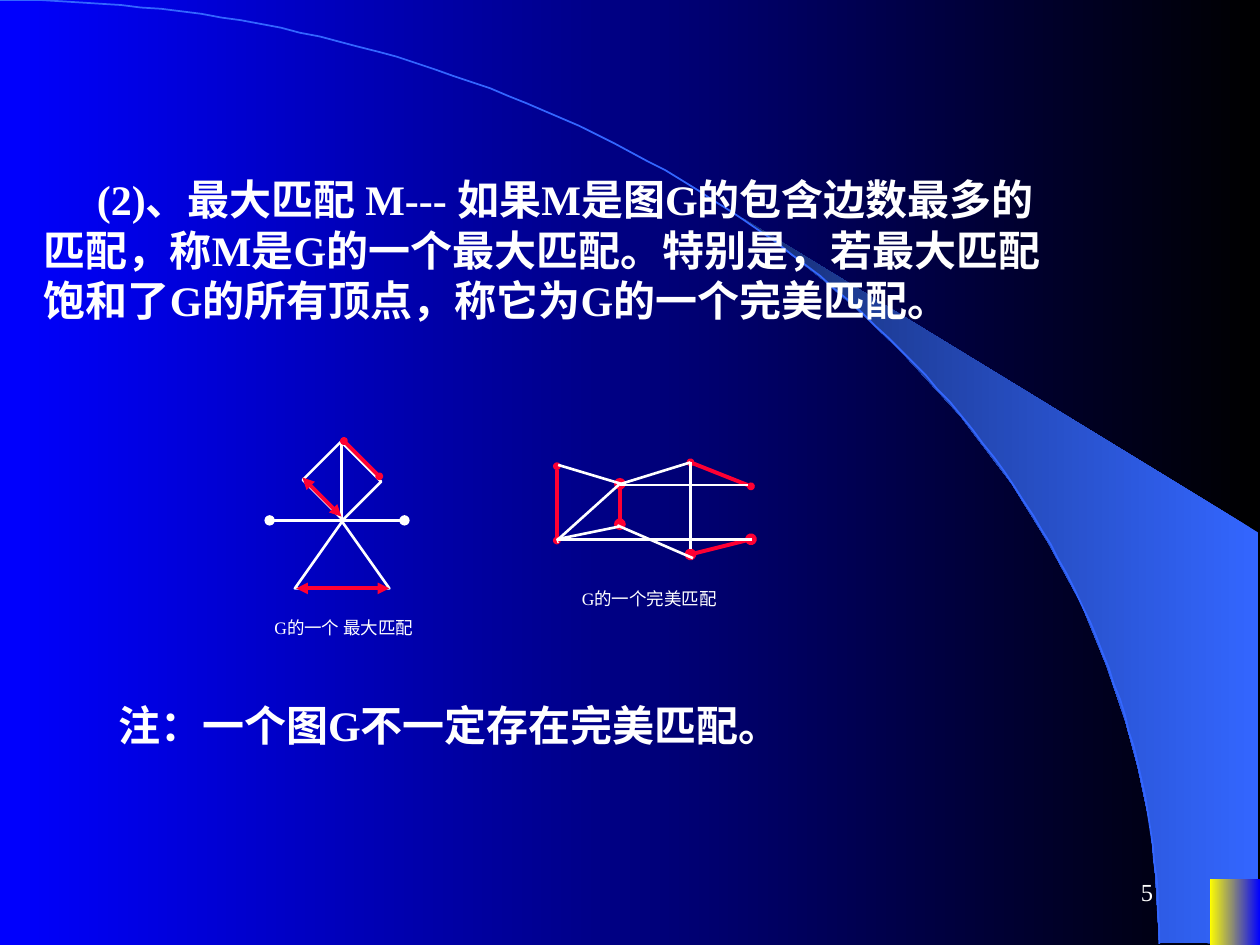
"""Build a slide on maximum and perfect matchings with two example graphs."""
from math import cos, pi, sin

from lxml import etree
from pptx import Presentation
from pptx.dml.color import RGBColor
from pptx.enum.shapes import MSO_CONNECTOR, MSO_SHAPE
from pptx.enum.text import MSO_ANCHOR, MSO_AUTO_SIZE, PP_ALIGN
from pptx.oxml.ns import qn
from pptx.util import Pt

STRAIGHT = MSO_CONNECTOR.STRAIGHT
RECT, TRIANGLE = MSO_SHAPE.RECTANGLE, MSO_SHAPE.ISOSCELES_TRIANGLE
LEFT, RIGHT, JUSTIFY = PP_ALIGN.LEFT, PP_ALIGN.RIGHT, PP_ALIGN.JUSTIFY
TOP, MIDDLE = MSO_ANCHOR.TOP, MSO_ANCHOR.MIDDLE
GROW, FIXED = MSO_AUTO_SIZE.SHAPE_TO_FIT_TEXT, MSO_AUTO_SIZE.NONE
PX = 9144


class Theme:
    font = "Times New Roman"
    black = RGBColor.from_string("000000")
    blue = RGBColor.from_string("0000FF")
    sky = RGBColor.from_string("3366FF")
    navy = RGBColor.from_string("172F75")
    yellow = RGBColor.from_string("FFFF00")
    white = RGBColor.from_string("FFFFFF")
    red = RGBColor.from_string("FF0033")
    body, label, number = Pt(24), Pt(10), Pt(14)
    hair, thin, thick = Pt(0.75), Pt(1.5), Pt(2.25)


def shade(fill, start, end):
    fill.gradient()
    fill.gradient_angle = 180
    for stop, color in zip(fill.gradient_stops, (start, end)):
        stop.color.rgb = color


def link(ends, color, width, tip=None, size="med"):
    line = slide.shapes.add_connector(STRAIGHT, *[v * PX for v in ends])
    line.line.color.rgb = color
    line.line.width = width
    if tip:
        for tag in ("a:headEnd", "a:tailEnd"):
            etree.SubElement(line.line._ln, qn(tag), type=tip, w=size, len=size)
    etree.SubElement(line._element.spPr, qn("a:effectLst"))


deck = Presentation()
deck.slide_width, deck.slide_height = 1000 * PX, 750 * PX
slide = deck.slides.add_slide(deck.slide_layouts[6])
shade(slide.background.fill, Theme.black, Theme.blue)

edge = [
    (999, 749), (999, 423), (589, 173), (624, 199), (653, 222), (685, 250),
    (716, 280), (762, 330), (803, 384), (832, 431), (858, 479), (878, 528),
    (893, 572), (903, 609), (913, 656), (917, 696), (920, 748),
]
path = slide.shapes.build_freeform(920, 748, scale=PX)
path.add_line_segments(edge, close=True)
beam = path.convert_to_shape()
beam.shadow.inherit = False
shade(beam.fill, Theme.sky, Theme.navy)
beam.line.fill.background()

steps = 90
turns = [i * pi / 2 / steps for i in range(1, steps + 1)]
path = slide.shapes.build_freeform(0, 0, scale=PX)
path.add_line_segments(
    [(920 * sin(t), 749 * (1 - cos(t))) for t in turns], close=False)
arc = path.convert_to_shape()
arc.shadow.inherit = False
arc.fill.background()
arc.line.color.rgb = Theme.sky
arc.line.width = Pt(1)

badge = slide.shapes.add_shape(RECT, 960 * PX, 698 * PX, 40 * PX, 52 * PX)
badge.shadow.inherit = False
shade(badge.fill, Theme.blue, Theme.yellow)
badge.line.fill.background()

for kind, box, turn in (
    (RECT, (250, 359, 43, 45), -45),
    (TRIANGLE, (234, 414, 75, 53), 0),
):
    shape = slide.shapes.add_shape(kind, *[v * PX for v in box])
    shape.shadow.inherit = False
    shape.rotation = turn
    shape.fill.background()
    shape.line.color.rgb = Theme.white
    shape.line.width = Theme.thin

link((214, 413, 321, 413), Theme.white, Theme.thin, "oval")
link((271, 351, 271, 411), Theme.white, Theme.thin)

for ends, tip, size in (
    ((235, 467, 309, 467), "triangle", "med"),
    ((240, 379, 271, 410), "triangle", "med"),
    ((301, 378, 273, 350), "oval", "sm"),
    ((442, 370, 442, 429), "oval", "sm"),
    ((492, 384, 492, 416), "oval", "med"),
    ((548, 367, 596, 386), "oval", "sm"),
    ((548, 440, 596, 428), "oval", "med"),
):
    link(ends, Theme.red, Theme.thick, tip, size)

for ends in (
    (443, 369, 493, 384),
    (491, 418, 442, 428),
    (548, 367, 548, 436),
    (548, 367, 493, 384),
    (490, 417, 550, 443),
    (492, 385, 594, 385),
    (442, 428, 597, 428),
    (492, 384, 442, 429),
):
    link(ends, Theme.white, Theme.thin)
link((442, 428, 443, 431), Theme.white, Theme.hair)

rule = ("(2)、最大匹配 M--- 如果M是图G的包含边数最多的匹配，称M是G的一个最大匹配。"
        "特别是，若最大匹配饱和了G的所有顶点，称它为G的一个完美匹配。")
note = "注：一个图G不一定存在完美匹配。"
for text, box, size, align, anchor in (
    (rule, (25, 133, 825, 170), Theme.body, LEFT, TOP),
    ("G的一个 最大匹配", (208, 485, 143, 28), Theme.label, JUSTIFY, TOP),
    ("G的一个完美匹配", (452, 462, 149, 36), Theme.label, JUSTIFY, TOP),
    (note, (42, 550, 825, 50), Theme.body, LEFT, TOP),
    ("5", (717, 683, 208, 50), Theme.number, RIGHT, MIDDLE),
):
    main = size == Theme.body
    frame = slide.shapes.add_textbox(*[v * PX for v in box]).text_frame
    frame.word_wrap = True
    frame.auto_size = GROW if main else FIXED
    frame.vertical_anchor = anchor
    frame.text = text
    para = frame.paragraphs[0]
    para.alignment = align
    if main:
        para.space_before = Pt(15)
        para._p.get_or_add_pPr().set("indent", str(42 * PX))
    font = para.runs[0].font
    font.name, font.size, font.bold = Theme.font, size, main
    font.color.rgb = Theme.white

deck.save("out.pptx")
